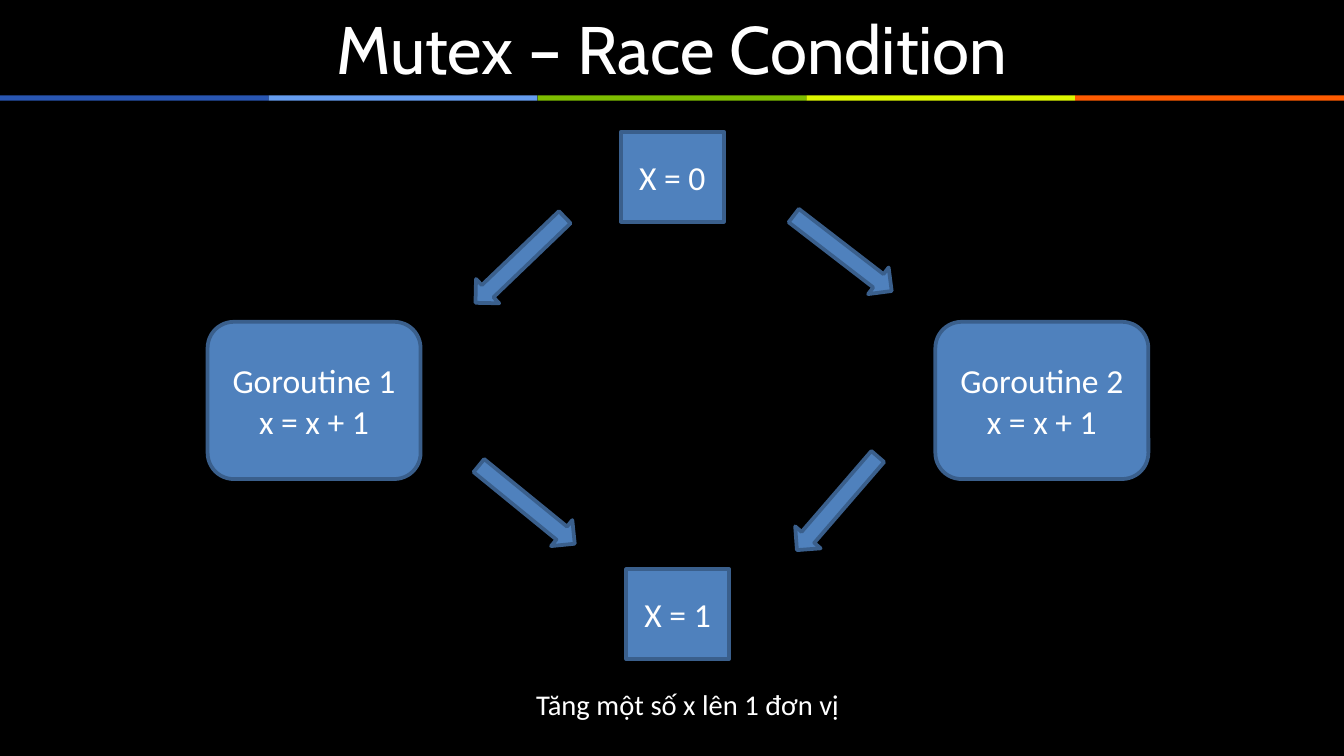
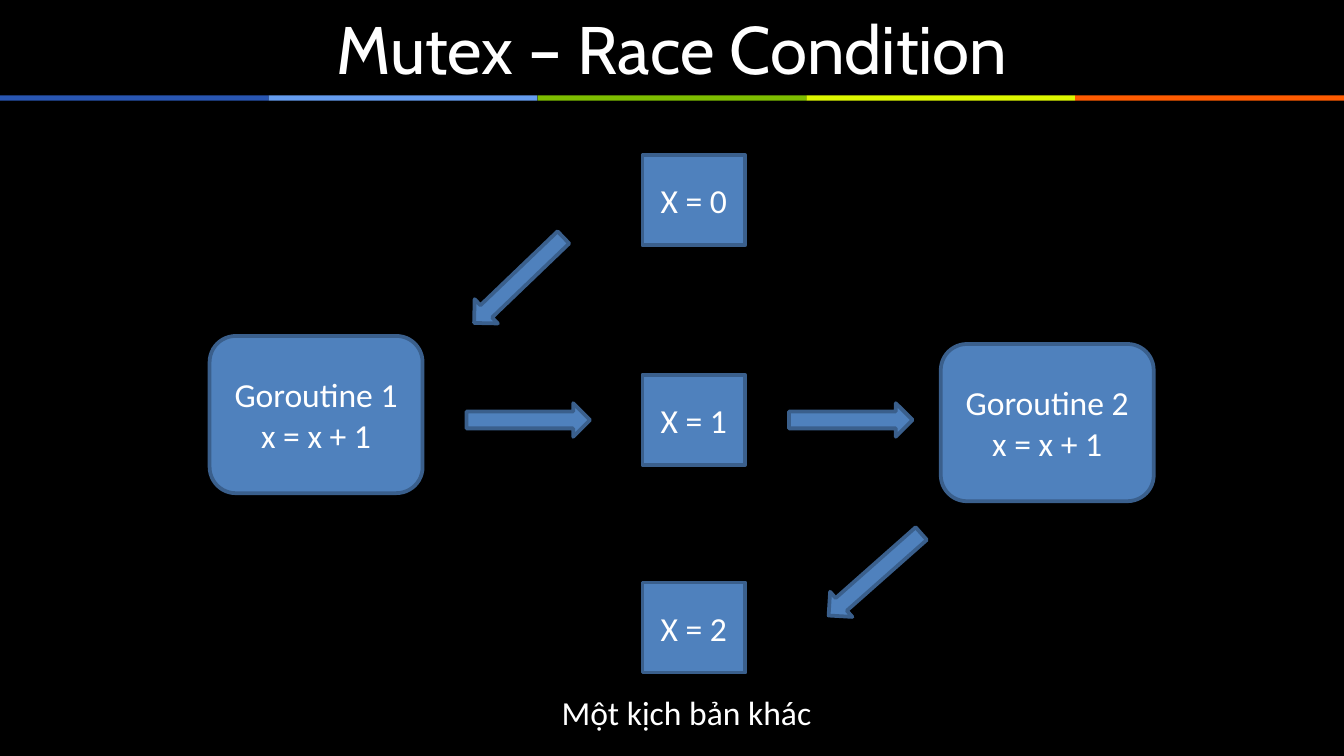
from pptx import Presentation
from pptx.dml.color import RGBColor
from pptx.enum.shapes import MSO_SHAPE
from pptx.enum.text import MSO_ANCHOR, PP_ALIGN
from pptx.util import Pt

PX = 4572  # 200 px to the inch
WIDE, HIGH = 2000, 1125
HUES = {
    "back": "000000", "text": "FFFFFF", "fill": "4F81BD", "edge": "3A5F8C",
    "navy": "2956B2", "sky": "659CEF", "green": "7DBD00",
    "lime": "DCF600", "flame": "FF5B00",
}
BAND = ["navy", "sky", "green", "lime", "flame"]
TITLE = "Mutex – Race Condition"


def hue(name):
    return RGBColor.from_string(HUES[name])


def scale(*sizes):
    return [size * PX for size in sizes]


def write(shape, lines, size, font="Calibri", align=PP_ALIGN.CENTER,
          anchor=MSO_ANCHOR.MIDDLE, before=0):
    frame = shape.text_frame
    frame.word_wrap = True
    frame.vertical_anchor = anchor
    for i, line in enumerate(lines):
        para = frame.add_paragraph() if i else frame.paragraphs[0]
        para.alignment = align
        para.space_before = Pt(before)
        run = para.add_run()
        run.text = line
        run.font.size = Pt(size)
        run.font.name = font
        run.font.color.rgb = hue("text")


def draw(slide, kind, x, y, w, h, fill="fill", edge="edge"):
    shape = slide.shapes.add_shape(kind, *scale(x, y, w, h))
    shape.shadow.inherit = False
    shape.fill.solid()
    shape.fill.fore_color.rgb = hue(fill)
    if edge:
        shape.line.color.rgb = hue(edge)
        shape.line.width = Pt(2)
    else:
        shape.line.fill.background()
    return shape


def arrow(slide, x, y, turn=0):
    draw(slide, MSO_SHAPE.RIGHT_ARROW, x, y, 184, 50).rotation = turn


def value(slide, x, y, num):
    box = draw(slide, MSO_SHAPE.RECTANGLE, x, y, 153, 134)
    write(box, [f"X = {num}"], 18)


def worker(slide, x, y, num):
    box = draw(slide, MSO_SHAPE.ROUNDED_RECTANGLE, x, y, 317, 234)
    write(box, [f"Goroutine {num}", "x = x + 1"], 18)


def caption(slide, x, y, text, size):
    box = slide.shapes.add_textbox(*scale(x, y, 504, 100))
    write(box, [text], size, align=PP_ALIGN.LEFT,
          anchor=MSO_ANCHOR.TOP, before=18)


def base(deck):
    """Add a slide with the black ground, colour band and title."""
    slide = deck.slides.add_slide(deck.slide_layouts[6])
    slide.background.fill.solid()
    slide.background.fill.fore_color.rgb = hue("back")
    step = WIDE // len(BAND)
    for i, name in enumerate(BAND):
        draw(slide, MSO_SHAPE.RECTANGLE, i * step, 142, step, 8, name, None)
    title = slide.shapes.add_textbox(*scale(50, 12, 1900, 118))
    write(title, [TITLE], 36, "Cabin")
    return slide


def main():
    deck = Presentation()
    deck.slide_width, deck.slide_height = scale(WIDE, HIGH)

    # Both goroutines read 0, so the result is 1
    slide = base(deck)
    for spot in [(682, 362, 136.2), (692, 726, 39.2),
                 (1162, 352, 37.6), (1154, 724, 130.8)]:
        arrow(slide, *spot)
    value(slide, 924, 196, 0)
    value(slide, 932, 847, 1)
    worker(slide, 309, 479, 1)
    worker(slide, 1392, 479, 2)
    caption(slide, 778, 1012, "Tăng một số x lên 1 đơn vị", 15.3)

    # The goroutines run in turn, so the result is 2
    slide = base(deck)
    for spot in [(680, 392, 136.2), (694, 600),
                 (1174, 600), (1210, 830, 138.5)]:
        arrow(slide, *spot)
    for num, y in enumerate([231, 558, 867]):
        value(slide, 956, y, num)
    worker(slide, 312, 500, 1)
    worker(slide, 1400, 512, 2)
    caption(slide, 816, 1020, "Một kịch bản khác", 18)

    deck.save("out.pptx")


if __name__ == "__main__":
    main()
